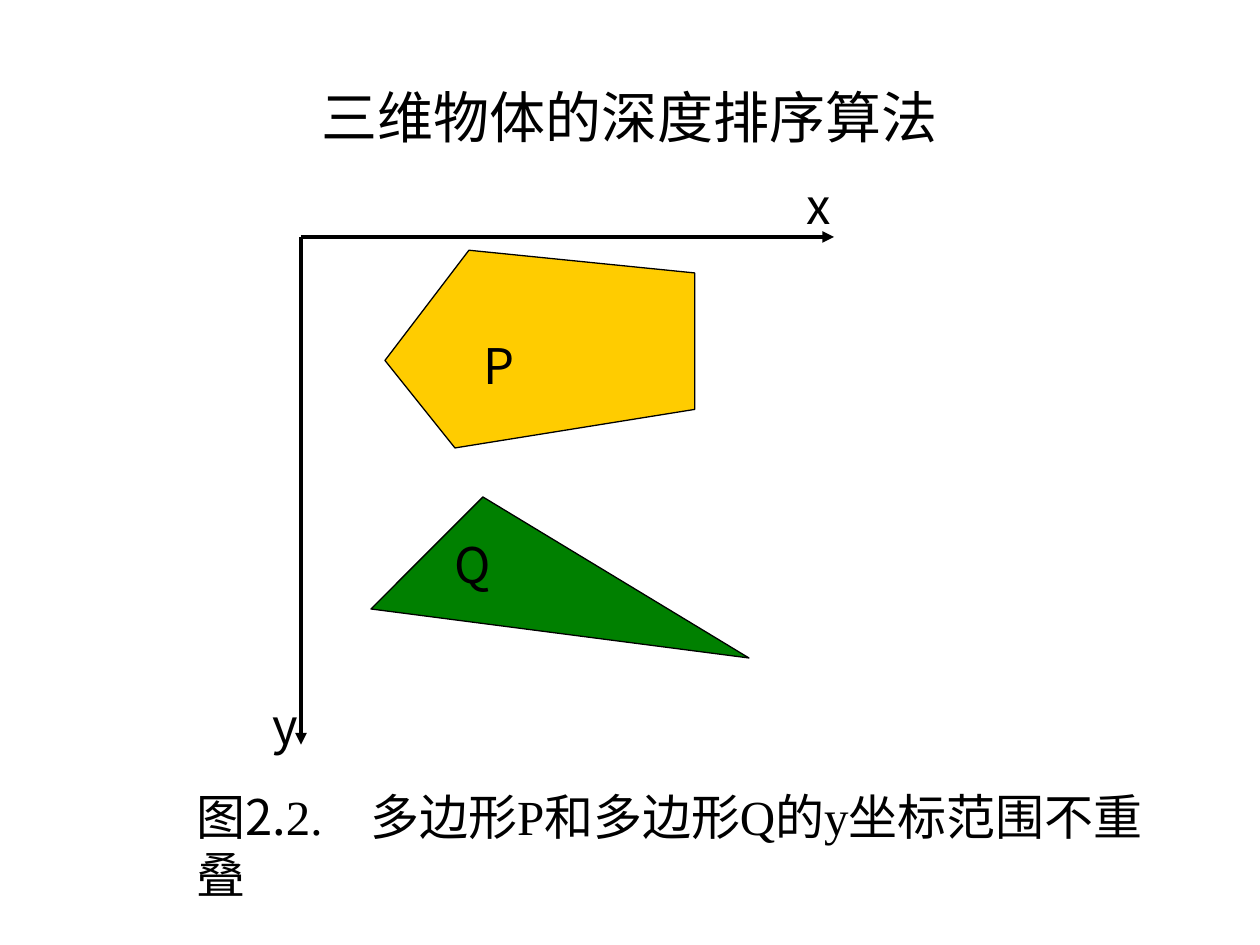
from dataclasses import dataclass

import lxml.etree
import pptx
import pptx.dml.color
import pptx.enum.shapes
import pptx.enum.text
import pptx.oxml
import pptx.oxml.ns
import pptx.util

Pt = pptx.util.Pt
Color = pptx.dml.color.RGBColor
Align = pptx.enum.text.PP_ALIGN
Anchor = pptx.enum.text.MSO_ANCHOR
qn = pptx.oxml.ns.qn


@dataclass(frozen=True)
class Theme:
    ink: Color = Color(0x00, 0x00, 0x00)
    polygon_p: Color = Color(0xFF, 0xCC, 0x00)
    polygon_q: Color = Color(0x00, 0x80, 0x00)
    title_size: float = 32
    text_size: float = 28
    axis_width: float = 2.25
    outline_width: float = 0.75
    sans: str = "Noto Sans CJK SC"
    serif: str = "Times New Roman"


THEME = Theme()


def add_run(paragraph, text, size, font=THEME.sans):
    run = paragraph.add_run()
    run.text = text
    run.font.size = Pt(size)
    run.font.name = font
    run.font.color.rgb = THEME.ink
    east_asian = lxml.etree.Element(qn("a:ea"), typeface=THEME.sans)
    run.font._element.find(qn("a:latin")).addnext(east_asian)


def add_text_box(shapes, left, top, width, height, align=Align.LEFT, anchor=Anchor.TOP):
    frame = shapes.add_textbox(Pt(left), Pt(top), Pt(width), Pt(height)).text_frame
    frame.word_wrap = True
    frame.vertical_anchor = anchor
    frame.paragraphs[0].alignment = align
    return frame


def add_label(shapes, text, left, top):
    frame = add_text_box(shapes, left, top, 24, 42.5)
    frame.margin_left = frame.margin_right = 0
    frame.margin_top = frame.margin_bottom = 0
    add_run(frame.paragraphs[0], text, THEME.text_size)


def add_axis(shapes, origin, end):
    axis = shapes.add_connector(
        pptx.enum.shapes.MSO_CONNECTOR.STRAIGHT, *map(Pt, origin + end)
    )
    axis.line.color.rgb = THEME.ink
    axis.line.width = Pt(THEME.axis_width)
    properties = axis._element.spPr
    line = properties.find(qn("a:ln"))
    lxml.etree.SubElement(line, qn("a:tailEnd"), type="triangle")
    lxml.etree.SubElement(properties, qn("a:effectLst"))


def add_polygon(shapes, points, fill):
    builder = shapes.build_freeform(*points[0], scale=Pt(1))
    builder.add_line_segments(points[1:], close=True)
    polygon = builder.convert_to_shape()
    polygon.shadow.inherit = False
    polygon.fill.solid()
    polygon.fill.fore_color.rgb = fill
    polygon.line.color.rgb = THEME.ink
    polygon.line.width = Pt(THEME.outline_width)


def add_tab_stop(paragraph, position):
    properties = paragraph._p.get_or_add_pPr()
    tabs = lxml.etree.SubElement(properties, qn("a:tabLst"))
    lxml.etree.SubElement(tabs, qn("a:tab"), pos=str(Pt(position)), algn="l")


def add_title(slide):
    frame = add_text_box(slide.shapes, 36, 21.6, 648, 90, Align.CENTER, Anchor.MIDDLE)
    add_run(frame.paragraphs[0], "三维物体的深度排序算法", THEME.title_size)


def add_diagram(slide):
    shapes = slide.shapes.add_group_shape().shapes
    origin = (172, 135.4)
    add_axis(shapes, origin, (origin[0], 425.5))
    add_axis(shapes, origin, (476.6, origin[1]))
    add_label(shapes, "y", 155.5, 397.4)
    add_label(shapes, "x", 460.8, 100.1)
    add_polygon(
        shapes,
        [(267.8, 142.6), (220.3, 205.9), (259.9, 255.6), (396.7, 234), (396.7, 156.2)],
        THEME.polygon_p,
    )
    add_polygon(
        shapes, [(276.5, 283.7), (211.7, 347.8), (428.4, 375.8)], THEME.polygon_q
    )
    add_label(shapes, "P", 276.5, 191.5)
    add_label(shapes, "Q", 259.9, 305.3)


def add_caption(slide):
    frame = add_text_box(slide.shapes, 105, 445.7, 575.3, 41)
    paragraph = frame.paragraphs[0]
    add_tab_stop(paragraph, 99.5)
    add_run(paragraph, "图2.", THEME.text_size)
    add_run(
        paragraph, "2.\t多边形P和多边形Q的y坐标范围不重叠", THEME.text_size, THEME.serif
    )


def main():
    presentation = pptx.Presentation()
    presentation.slide_width = Pt(720)
    presentation.slide_height = Pt(540)
    slide = presentation.slides.add_slide(presentation.slide_layouts[6])
    add_title(slide)
    add_diagram(slide)
    add_caption(slide)
    presentation.save("out.pptx")


if __name__ == "__main__":
    main()
